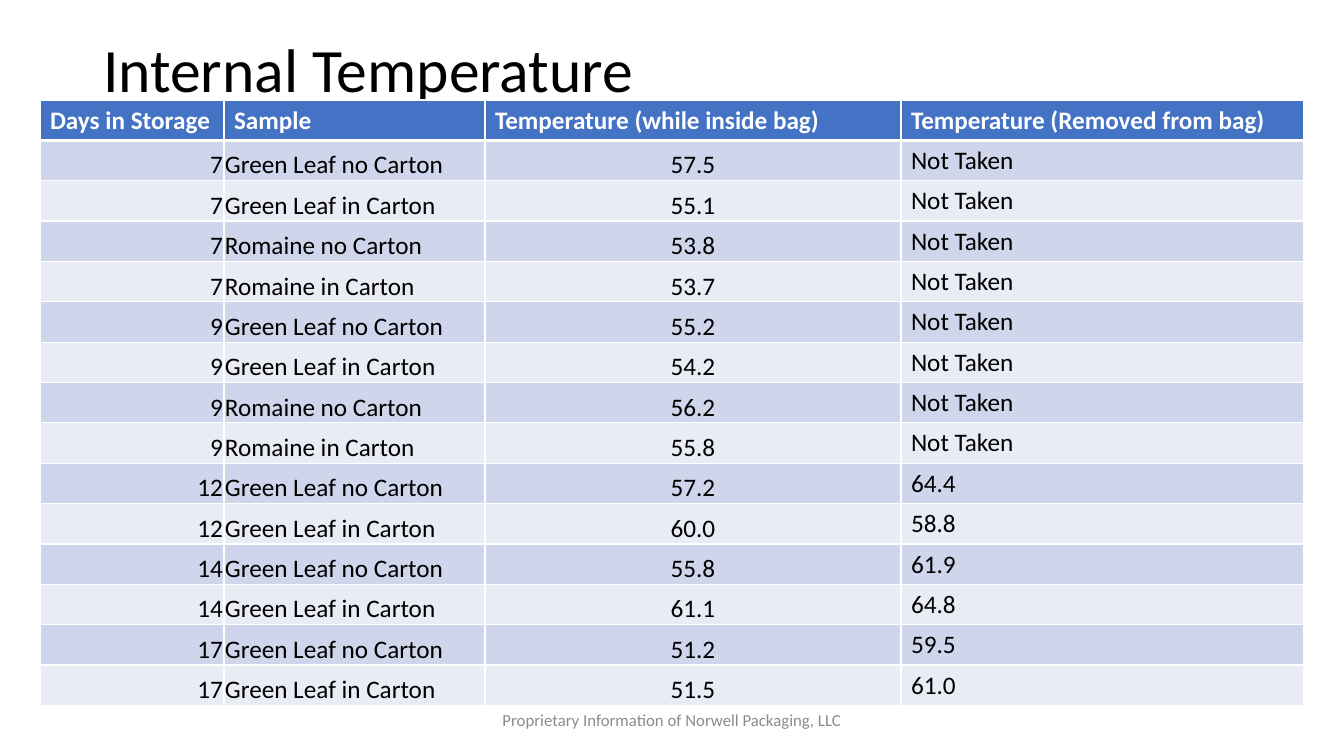
import pptx
import pptx.dml.color
import pptx.enum.text
import pptx.oxml
import pptx.oxml.ns
import pptx.util

SCALE = 914400 / 100.8
ALIGN = pptx.enum.text.PP_ALIGN
ANCHOR = pptx.enum.text.MSO_ANCHOR
THEME = {
    "font": "Calibri",
    "title_size": 44, "table_size": 18, "footer_size": 12,
    "ink": "000000", "white": "FFFFFF", "grey": "8C8C8C",
    "header": "4472C4", "bands": ["CFD5EA", "E9EBF5"],
}


def px(length):
    return pptx.util.Emu(round(length * SCALE))


def write_text(frame, text, size, color, bold=False, align=ALIGN.LEFT, spacing=None):
    paragraph = frame.paragraphs[0]
    paragraph.alignment = align
    paragraph.line_spacing = spacing
    run = paragraph.add_run()
    run.text = text
    run.font.name = THEME["font"]
    run.font.size = pptx.util.Pt(size)
    run.font.bold = bold
    run.font.color.rgb = pptx.dml.color.RGBColor.from_string(color)


presentation = pptx.Presentation()
presentation.slide_width = px(1344)
presentation.slide_height = px(756)
slide = presentation.slides.add_slide(presentation.slide_layouts.get_by_name("Title Only"))

title = slide.shapes.title
title.left, title.top, title.width, title.height = px(93), px(0), px(1159), px(146)
title.text_frame.auto_size = pptx.enum.text.MSO_AUTO_SIZE.NONE
title.text_frame.vertical_anchor = ANCHOR.MIDDLE
write_text(title.text_frame, "Internal Temperature", THEME["title_size"], THEME["ink"], spacing=0.9)

footer = slide.shapes.add_textbox(px(445), px(700), px(454), px(40))
footer.text_frame.word_wrap = True
footer.text_frame.vertical_anchor = ANCHOR.MIDDLE
write_text(footer.text_frame, "Proprietary Information of Norwell Packaging, LLC",
           THEME["footer_size"], THEME["grey"], align=ALIGN.CENTER)

temperature_rows = [
    ["Days in Storage", "Sample", "Temperature (while inside bag)", "Temperature (Removed from bag)"],
    ["7", "Green Leaf no Carton", "57.5", "Not Taken"],
    ["7", "Green Leaf in Carton", "55.1", "Not Taken"],
    ["7", "Romaine no Carton", "53.8", "Not Taken"],
    ["7", "Romaine in Carton", "53.7", "Not Taken"],
    ["9", "Green Leaf no Carton", "55.2", "Not Taken"],
    ["9", "Green Leaf in Carton", "54.2", "Not Taken"],
    ["9", "Romaine no Carton", "56.2", "Not Taken"],
    ["9", "Romaine in Carton", "55.8", "Not Taken"],
    ["12", "Green Leaf no Carton", "57.2", "64.4"],
    ["12", "Green Leaf in Carton", "60.0", "58.8"],
    ["14", "Green Leaf no Carton", "55.8", "61.9"],
    ["14", "Green Leaf in Carton", "61.1", "64.8"],
    ["17", "Green Leaf no Carton", "51.2", "59.5"],
    ["17", "Green Leaf in Carton", "51.5", "61.0"],
]
column_widths = [184, 261, 416, 403]
column_aligns = [ALIGN.RIGHT, ALIGN.LEFT, ALIGN.CENTER, ALIGN.LEFT]
row_height = 40

table = slide.shapes.add_table(
    len(temperature_rows), len(column_widths), px(40), px(100),
    px(sum(column_widths)), px(row_height * len(temperature_rows))).table
for column, width in zip(table.columns, column_widths):
    column.width = px(width)

for row_index, values in enumerate(temperature_rows):
    table.rows[row_index].height = px(row_height)
    is_header = row_index == 0
    fill_color = THEME["header"] if is_header else THEME["bands"][(row_index - 1) % 2]
    border_widths = {"lnL": 1, "lnR": 1, "lnT": 3 if row_index == 1 else 1, "lnB": 3 if is_header else 1}
    for column_index, value in enumerate(values):
        cell = table.cell(row_index, column_index)
        if not is_header and column_index < 3:
            cell.vertical_anchor = ANCHOR.BOTTOM
            cell.margin_left = cell.margin_right = cell.margin_top = px(1)
            cell.margin_bottom = px(0)
        properties = cell._tc.get_or_add_tcPr()
        for side, width in border_widths.items():
            properties.append(pptx.oxml.parse_xml(
                f'<a:{side} {pptx.oxml.ns.nsdecls("a")} w="{pptx.util.Pt(width)}"><a:solidFill>'
                f'<a:srgbClr val="{THEME["white"]}"/></a:solidFill></a:{side}>'))
        cell.fill.solid()
        cell.fill.fore_color.rgb = pptx.dml.color.RGBColor.from_string(fill_color)
        write_text(cell.text_frame, value, THEME["table_size"],
                   THEME["white"] if is_header else THEME["ink"], bold=is_header,
                   align=ALIGN.LEFT if is_header else column_aligns[column_index])

presentation.save("out.pptx")
